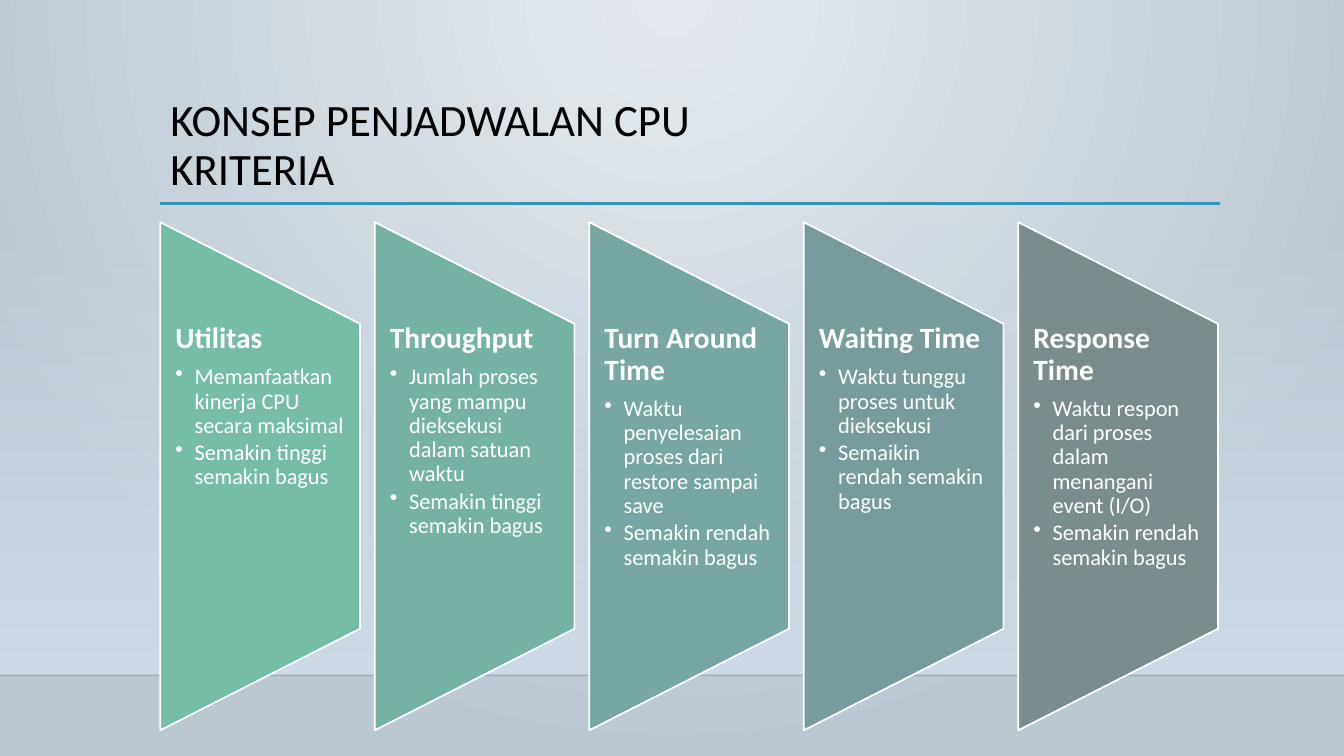
"""Build the slide on the criteria of CPU scheduling."""
from dataclasses import dataclass

import lxml.etree
import pptx
import pptx.dml.color
import pptx.enum.shapes
import pptx.enum.text
import pptx.oxml.ns
import pptx.util

Inches = pptx.util.Inches
Pt = pptx.util.Pt
qn = pptx.oxml.ns.qn


@dataclass(frozen=True)
class Theme:
    font: str = "Calibri"
    title_size: float = 32
    heading_size: float = 21
    bullet_size: float = 16
    line_spacing: float = 0.9
    ink: str = "000000"
    paper: str = "FFFFFF"
    accent: str = "3494BA"
    horizon: str = "000001"
    glow: str = "E4EAEF"
    edge: str = "BBC7D1"
    wall: str = "CEDBE6"


@dataclass(frozen=True)
class Area:
    """A rectangle in percent of the slide's width and height."""
    left: float
    top: float
    width: float
    height: float

    def lengths(self) -> tuple[int, int, int, int]:
        return (across(self.left), down(self.top),
                across(self.width), down(self.height))


@dataclass(frozen=True)
class Criterion:
    heading: str
    bullets: tuple[str, str]
    fill: str


THEME = Theme()
SLIDE_WIDTH, SLIDE_HEIGHT = Inches(13.33), Inches(7.5)
LEFT, RIGHT, RULE, HORIZON = 11.93, 90.77, 26.93, 89.33
PITCH, PANEL_WIDTH = 15.96, 14.86
PANEL_TOP, PANEL_HEIGHT = 29.4, 67.2
TEXT_TOP, TEXT_HEIGHT = 42.8, 40.27
TITLE_AREA = Area(LEFT, 11.73, 78.77, 15.33)
WALL_AREA = Area(0, 29.47, 100, HORIZON - 29.47)

CRITERIA = (
    Criterion("Utilitas", ("Memanfaatkan kinerja CPU secara maksimal",
                           "Semakin tinggi semakin bagus"), "75BDA7"),
    Criterion("Throughput", ("Jumlah proses yang mampu dieksekusi dalam satuan waktu",
                             "Semakin tinggi semakin bagus"), "75B2A6"),
    Criterion("Turn Around Time", ("Waktu penyelesaian proses dari restore sampai save",
                                   "Semakin rendah semakin bagus"), "76A7A2"),
    Criterion("Waiting Time", ("Waktu tunggu proses untuk dieksekusi",
                               "Semaikin rendah semakin bagus"), "789B9B"),
    Criterion("Response Time", ("Waktu respon dari proses dalam menangani event (I/O)",
                                "Semakin rendah semakin bagus"), "7A8C8E"),
)


def across(percent: float) -> int:
    return round(SLIDE_WIDTH * percent / 100)


def down(percent: float) -> int:
    return round(SLIDE_HEIGHT * percent / 100)


def color(code: str) -> pptx.dml.color.RGBColor:
    return pptx.dml.color.RGBColor.from_string(code)


def add_child(parent, tag: str, **attributes: str):
    return lxml.etree.SubElement(parent, qn(tag), **attributes)


def set_gradient(fill, first: str, last: str) -> None:
    fill.gradient()
    for stop, code, position in zip(fill.gradient_stops, (first, last), (0, 1)):
        stop.color.rgb = color(code)
        stop.position = position


def set_opacity(element, percent: int) -> None:
    add_child(next(element.iter(qn("a:srgbClr"))), "a:alpha", val=str(percent * 1000))


def draw_background(page) -> None:
    set_gradient(page.background.fill, THEME.glow, THEME.edge)
    linear = next(page.element.iter(qn("a:lin")))
    gradient = linear.getparent()
    gradient.remove(linear)
    circle = add_child(gradient, "a:path", path="circle")
    add_child(circle, "a:fillToRect", l="43000", t="0", r="43000", b="100000")


def draw_wall(page) -> None:
    wall = page.shapes.add_shape(
        pptx.enum.shapes.MSO_SHAPE.RECTANGLE, *WALL_AREA.lengths())
    wall.shadow.inherit = False
    wall.line.fill.background()
    set_gradient(wall.fill, THEME.wall, THEME.wall)
    wall.fill.gradient_angle = 270
    set_opacity(wall.element, 0)


def draw_rule(page, left: float, right: float, height: float,
              code: str, weight: float, opacity: int = 100) -> None:
    rule = page.shapes.add_connector(
        pptx.enum.shapes.MSO_CONNECTOR.STRAIGHT,
        across(left), down(height), across(right), down(height))
    rule.line.color.rgb = color(code)
    rule.line.width = Pt(weight)
    if opacity < 100:
        set_opacity(rule.element, opacity)
    add_child(rule.element.spPr, "a:effectLst")


def style_paragraph(para, size: float, code: str, bold: bool = False) -> None:
    para.alignment = pptx.enum.text.PP_ALIGN.LEFT
    para.line_spacing = THEME.line_spacing
    para.font.name = THEME.font
    para.font.size = Pt(size)
    para.font.bold = bold
    para.font.color.rgb = color(code)


def fill_title(page) -> None:
    title = page.shapes.title
    title.left, title.top, title.width, title.height = TITLE_AREA.lengths()
    frame = title.text_frame
    frame.text = "KONSEP PENJADWALAN CPU\vKRITERIA"
    frame.word_wrap = True
    frame.auto_size = pptx.enum.text.MSO_AUTO_SIZE.NONE
    frame.vertical_anchor = pptx.enum.text.MSO_ANCHOR.MIDDLE
    style_paragraph(frame.paragraphs[0], THEME.title_size, THEME.ink)


def space_after(para, percent: int) -> None:
    spacing = add_child(para._p.get_or_add_pPr(), "a:spcAft")
    add_child(spacing, "a:spcPct", val=str(percent * 1000))


def add_bullet(para) -> None:
    properties = para._p.get_or_add_pPr()
    properties.set("marL", str(Inches(0.19)))
    properties.set("indent", str(-Inches(0.19)))
    add_child(properties, "a:buChar", char="•")


def draw_panel(page, area: Area, code: str) -> None:
    left, top, width, height = area.lengths()
    shift = (height - width) // 2
    panel = page.shapes.add_shape(
        pptx.enum.shapes.MSO_SHAPE.FLOWCHART_MANUAL_OPERATION,
        left - shift, top + shift, height, width)
    panel.rotation = 270
    panel.shadow.inherit = False
    panel.fill.solid()
    panel.fill.fore_color.rgb = color(code)
    panel.line.color.rgb = color(THEME.paper)
    panel.line.width = Pt(1.25)


def write_criterion(page, area: Area, criterion: Criterion) -> None:
    frame = page.shapes.add_textbox(*area.lengths()).text_frame
    frame.word_wrap = True
    frame.margin_left = frame.margin_right = Inches(0.15)
    frame.margin_top = frame.margin_bottom = 0
    heading = frame.paragraphs[0]
    heading.text = criterion.heading
    heading.line_spacing = THEME.line_spacing
    space_after(heading, 35)
    style_paragraph(heading, THEME.heading_size, THEME.paper, bold=True)
    for bullet in criterion.bullets:
        para = frame.add_paragraph()
        para.text = bullet
        para.level = 1
        para.line_spacing = THEME.line_spacing
        space_after(para, 15)
        add_bullet(para)
        style_paragraph(para, THEME.bullet_size, THEME.paper)


def main() -> None:
    deck = pptx.Presentation()
    deck.slide_width, deck.slide_height = SLIDE_WIDTH, SLIDE_HEIGHT
    page = deck.slides.add_slide(deck.slide_layouts.get_by_name("Title Only"))
    draw_background(page)
    draw_wall(page)
    draw_rule(page, 0, 100, HORIZON, THEME.horizon, 1, opacity=20)
    draw_rule(page, LEFT, RIGHT, RULE, THEME.accent, 2.5)
    fill_title(page)
    for column, criterion in enumerate(CRITERIA):
        left = LEFT + column * PITCH
        draw_panel(page, Area(left, PANEL_TOP, PANEL_WIDTH, PANEL_HEIGHT), criterion.fill)
        write_criterion(page, Area(left, TEXT_TOP, PANEL_WIDTH, TEXT_HEIGHT), criterion)
    deck.save("out.pptx")


if __name__ == "__main__":
    main()
